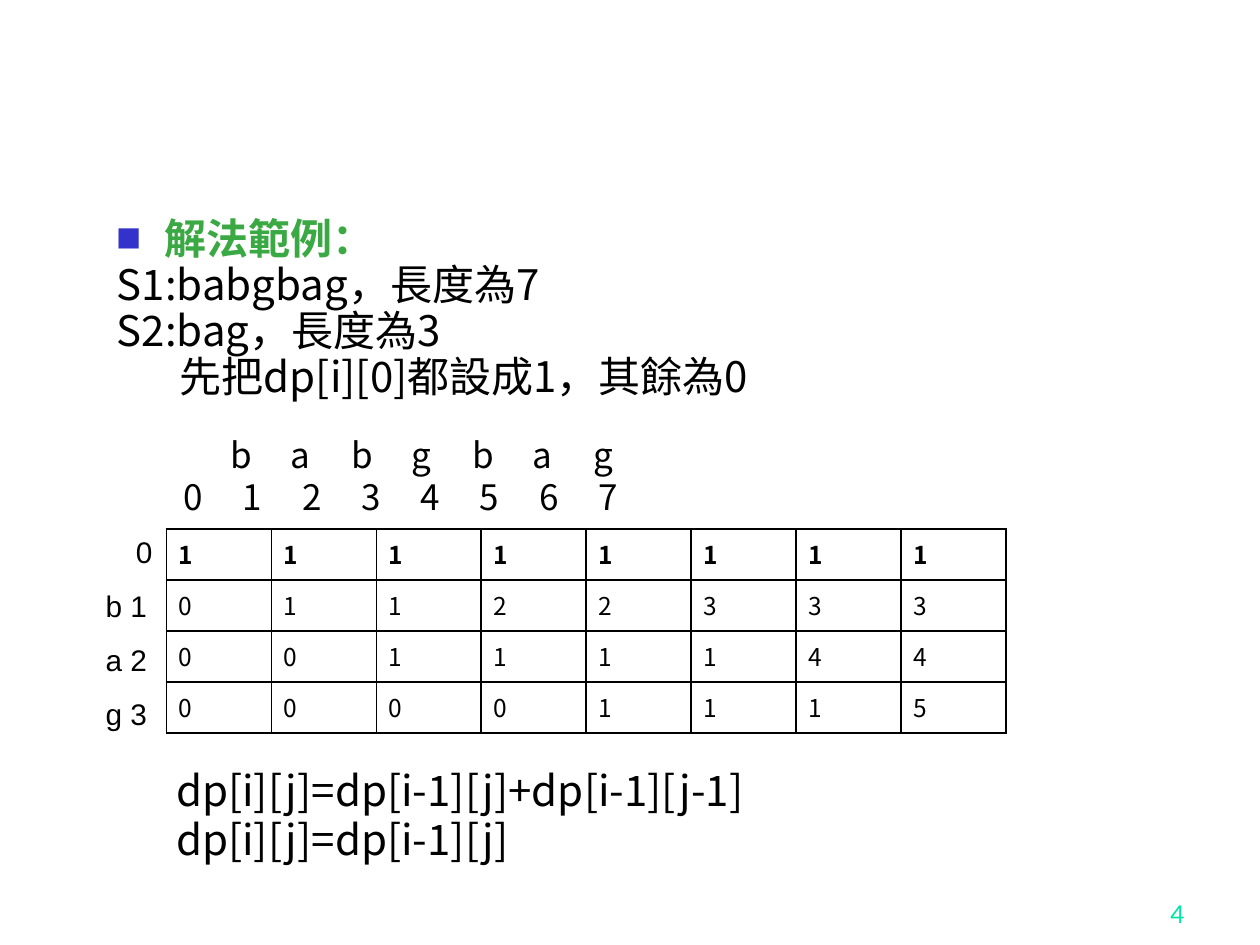
from dataclasses import dataclass
from typing import Optional

from lxml.etree import SubElement
from pptx import Presentation
from pptx.dml.color import RGBColor
from pptx.enum.text import MSO_ANCHOR as Anchor, PP_ALIGN as Align
from pptx.oxml.ns import qn
from pptx.util import Inches, Pt

W, H = 10, 7.5
COLORS = {"heading": "3BA943", "bullet": "3333CC", "text": "000000",
          "number": "00E4A8", "cell": "FFFFFF", "border": "000000"}
CJK, LATIN, NUMBER = "Noto Sans CJK SC", "Arial", "Lato"
S1, S2 = "babgbag", "bag"
COLS, ROWS = len(S1) + 1, len(S2) + 1
COL_W, ROW_H = W / 12, 0.405
TABLE_X, TABLE_Y = 1.32, 4.2
DP = ["11111111", "01122333", "00111144", "00001115"]


@dataclass
class Box:
    left: float
    top: float
    width: float
    height: float
    size: float
    font: str = CJK
    color: str = "text"
    spacing: Optional[float] = None
    align: Align = Align.LEFT
    anchor: Anchor = Anchor.TOP
    top_inset: float = 0.05


def style(p, size: float, font: str, color: str, bold: bool = False) -> None:
    for r in p.runs:
        f = r.font
        f.size, f.name, f.bold = Pt(size), font, bold
        f.color.rgb = RGBColor.from_string(COLORS[color])
        SubElement(r._r.get_or_add_rPr(), qn("a:ea"), typeface=font)


def add_text(s, box: Box, lines: list[str]):
    """Add one paragraph per line and return the paragraphs."""
    shape = s.shapes.add_textbox(*map(Inches, (box.left, box.top, box.width, box.height)))
    tf = shape.text_frame
    tf.word_wrap, tf.vertical_anchor = True, box.anchor
    tf.margin_top = Inches(box.top_inset)
    tf.text = "\n".join(lines)
    for p in tf.paragraphs:
        p.alignment = box.align
        if box.spacing:
            p.line_spacing = Pt(box.spacing)
        style(p, box.size, box.font, box.color)
    return tf.paragraphs


def set_indent(p, left: float, first: float = 0) -> None:
    pPr = p._p.get_or_add_pPr()
    pPr.set("marL", str(Inches(left)))
    pPr.set("indent", str(Inches(first)))


def add_bullet(p, char: str) -> None:
    pPr = p._p.get_or_add_pPr()
    SubElement(SubElement(pPr, qn("a:buClr")), qn("a:srgbClr"), val=COLORS["bullet"])
    SubElement(pPr, qn("a:buSzPct"), val="60000")
    SubElement(pPr, qn("a:buFont"), typeface=CJK)
    SubElement(pPr, qn("a:buChar"), char=char)


def add_tabs(p, start: float, pitch: float, count: int) -> None:
    tabs = SubElement(p._p.get_or_add_pPr(), qn("a:tabLst"))
    for i in range(count):
        SubElement(tabs, qn("a:tab"), pos=str(Inches(start + i * pitch)), algn="l")


def set_borders(cell) -> None:
    tcPr = cell._tc.get_or_add_tcPr()
    for i, side in enumerate(("lnL", "lnR", "lnT", "lnB")):
        ln = tcPr.makeelement(qn(f"a:{side}"), {"w": str(Pt(0.96))})
        SubElement(SubElement(ln, qn("a:solidFill")), qn("a:srgbClr"), val=COLORS["border"])
        tcPr.insert(i, ln)


def add_dp_table(s) -> None:
    frame = s.shapes.add_table(ROWS, COLS, Inches(TABLE_X), Inches(TABLE_Y),
                               Inches(COLS * COL_W), Inches(ROWS * ROW_H))
    table = frame.table
    table.first_row = table.horz_banding = False
    for i, values in enumerate(DP):
        for j, value in enumerate(values):
            cell = table.cell(i, j)
            cell.text = value
            cell.fill.solid()
            cell.fill.fore_color.rgb = RGBColor.from_string(COLORS["cell"])
            set_borders(cell)
            style(cell.text_frame.paragraphs[0], 14, CJK, "text", bold=i == 0)


def main() -> None:
    prs = Presentation()
    prs.slide_width, prs.slide_height = Inches(W), Inches(H)
    s = prs.slides.add_slide(prs.slide_layouts[6])

    heading, *_ = add_text(s, Box(0.83, 1.67, 8.5, 5.08, 24, spacing=26.3), [
        "解法範例：",
        f"S1:{S1}，長度為{len(S1)}",
        f"S2:{S2}，長度為{len(S2)}",
        "\t先把dp[i][0]都設成1，其餘為0"])
    set_indent(heading, 0.38, -0.38)
    add_bullet(heading, "■")
    style(heading, 24, CJK, "heading", bold=True)

    add_text(s, Box(7.42, 6.92, 2.08, 0.5, 14, NUMBER, "number",
                    align=Align.RIGHT, anchor=Anchor.BOTTOM), ["4"])
    add_dp_table(s)

    letters, indices = add_text(s, Box(1.25, 3.39, 6.8, 0.77, 20, spacing=24), [
        "\t" + "\t".join(S1), "\t" + "\t".join(map(str, range(COLS)))])
    add_tabs(letters, 0.48, 0.48, COLS - 1)
    add_tabs(indices, 0.11, 0.47, COLS)

    labels = add_text(s, Box(0.67, 3.96, 0.64, 1.72, 17, LATIN, spacing=30.9, top_inset=0.13),
                      ["0"] + [f"{c} {i}" for i, c in enumerate(S2, 1)])
    for i, p in enumerate(labels):
        set_indent(p, 0.07 if i else 0.31)

    add_text(s, Box(1.3, 6, 5.53, 0.84, 24, spacing=28, align=Align.JUSTIFY, top_inset=0.08),
             ["dp[i][j]=dp[i-1][j]+dp[i-1][j-1]", "dp[i][j]=dp[i-1][j]"])
    prs.save("out.pptx")


if __name__ == "__main__":
    main()
